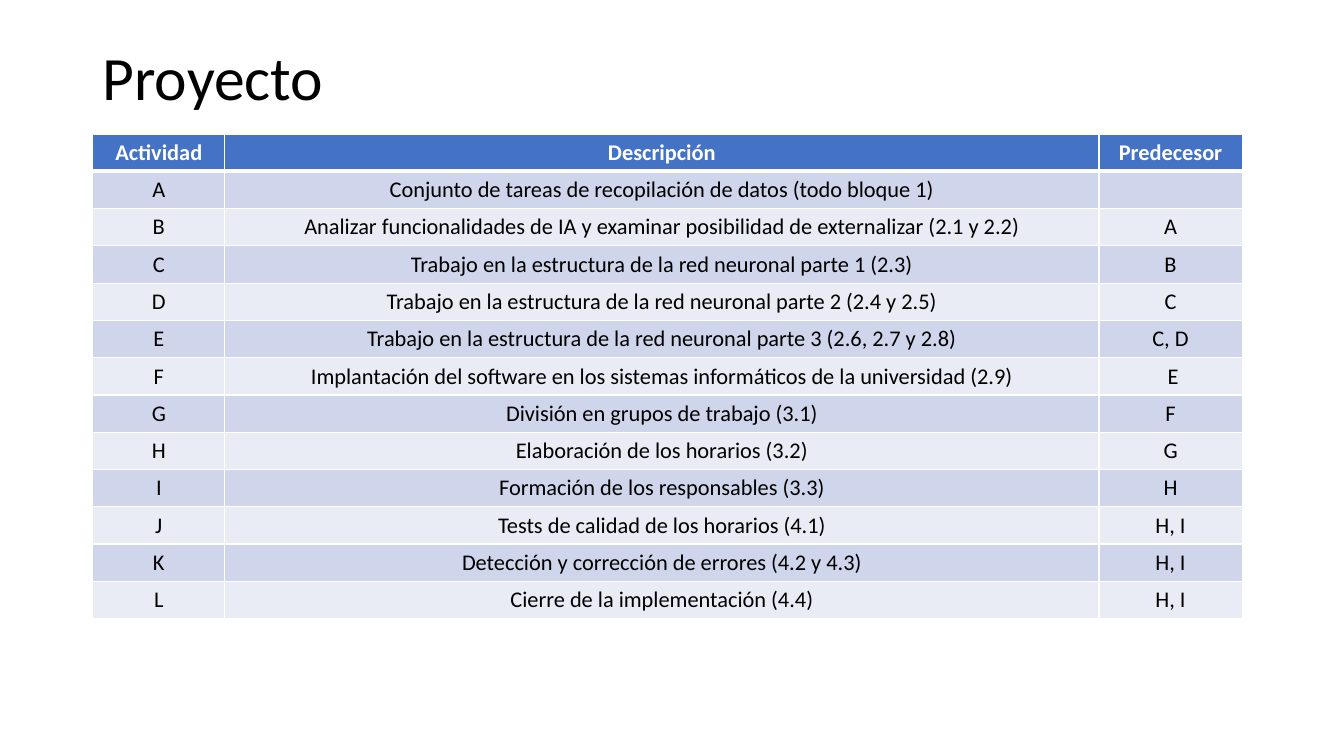
from lxml.etree import SubElement
from pptx import Presentation
from pptx.dml.color import RGBColor
from pptx.enum.text import MSO_ANCHOR, PP_ALIGN
from pptx.oxml.ns import qn
from pptx.util import Inches, Pt

HEADER = ("Actividad", "Descripción", "Predecesor")
ACTIVITIES = [
    ("A", "Conjunto de tareas de recopilación de datos (todo bloque 1)", ""),
    ("B", "Analizar funcionalidades de IA y examinar posibilidad de externalizar (2.1 y 2.2)", "A"),
    ("C", "Trabajo en la estructura de la red neuronal parte 1 (2.3)", "B"),
    ("D", "Trabajo en la estructura de la red neuronal parte 2 (2.4 y 2.5)", "C"),
    ("E", "Trabajo en la estructura de la red neuronal parte 3 (2.6, 2.7 y 2.8)", "C, D"),
    ("F", "Implantación del software en los sistemas informáticos de la universidad (2.9)", " E"),
    ("G", "División en grupos de trabajo (3.1)", "F"),
    ("H", "Elaboración de los horarios (3.2)", "G"),
    ("I", "Formación de los responsables (3.3)", "H"),
    ("J", "Tests de calidad de los horarios (4.1)", "H, I"),
    ("K", "Detección y corrección de errores (4.2 y 4.3)", "H, I"),
    ("L", "Cierre de la implementación (4.4)", "H, I"),
]
COL_WIDTHS = (1.31, 8.67, 1.42)
ROW_HEIGHT = 0.37
HEADER_FILL = "4472C4"
BAND_FILLS = ("E9EBF5", "CFD5EA")


def add_run(p, text, size, color, bold=False):
    r = p.add_run()
    r.text = text
    r.font.name = "Calibri"
    r.font.size = Pt(size)
    r.font.bold = bold
    r.font.color.rgb = RGBColor.from_string(color)


def set_borders(cell, **widths):
    """Draw white borders; widths are points by side: L, R, T, B."""
    tcPr = cell._tc.get_or_add_tcPr()
    for side, width in widths.items():
        ln = SubElement(tcPr, qn(f"a:ln{side}"), w=str(Pt(width)))
        fill = SubElement(ln, qn("a:solidFill"))
        SubElement(fill, qn("a:srgbClr"), val="FFFFFF")


prs = Presentation()
prs.slide_width, prs.slide_height = Inches(13.33), Inches(7.5)
s = prs.slides.add_slide(prs.slide_layouts[6])

title = s.shapes.add_textbox(Inches(0.92), Inches(0.4), Inches(11.5), Inches(0.79))
tf = title.text_frame
tf.word_wrap = True
tf.vertical_anchor = MSO_ANCHOR.MIDDLE
p = tf.paragraphs[0]
p.line_spacing = 0.9
add_run(p, "Proyecto", 44, "000000")

rows = [HEADER] + ACTIVITIES
table = s.shapes.add_table(
    len(rows), len(HEADER), Inches(0.92), Inches(1.33),
    Inches(sum(COL_WIDTHS)), Inches(ROW_HEIGHT * len(rows)),
).table
for column, width in zip(table.columns, COL_WIDTHS):
    column.width = Inches(width)

for i, row in enumerate(rows):
    table.rows[i].height = Inches(ROW_HEIGHT)
    is_header = i == 0
    for j, text in enumerate(row):
        cell = table.cell(i, j)
        set_borders(cell, L=1, R=1, T=3 if i == 1 else 1, B=3 if is_header else 1)
        cell.fill.solid()
        cell.fill.fore_color.rgb = RGBColor.from_string(
            HEADER_FILL if is_header else BAND_FILLS[i % 2])
        p = cell.text_frame.paragraphs[0]
        p.alignment = PP_ALIGN.CENTER
        if text:
            add_run(p, text, 16, "FFFFFF" if is_header else "000000", is_header)
        else:
            # An empty cell needs the text size too, or its row grows
            SubElement(p._p, qn("a:endParaRPr"), sz="1600")

prs.save("out.pptx")
